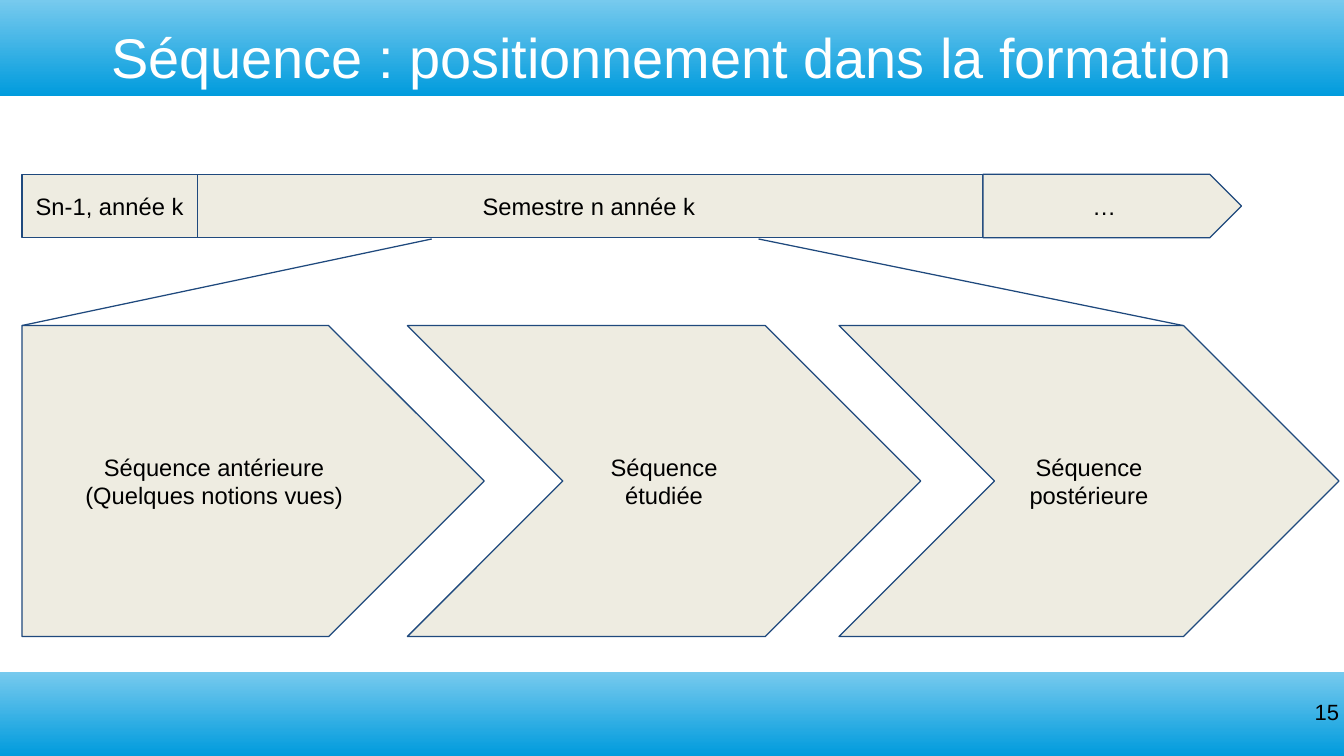
"""Build the slide that places a sequence within the training course."""
from lxml.etree import SubElement
from pptx import Presentation
from pptx.dml.color import RGBColor
from pptx.enum.shapes import MSO_CONNECTOR, MSO_SHAPE
from pptx.enum.text import MSO_ANCHOR, MSO_AUTO_SIZE, PP_ALIGN
from pptx.oxml.ns import qn
from pptx.util import Inches, Pt

SAND, NAVY, BLACK, WHITE = "EEECE1", "1F497D", "000000", "FFFFFF"
SKY, AZURE = "77CAEE", "009BDD"
WIDTH, HEIGHT = 11.02, 6.2
LEFT = 0.18
BAR_TOP, BAR_HEIGHT = 1.43, 0.52
STEP_TOP, STEP_HEIGHT = 2.67, 2.55


def color(value):
    return RGBColor.from_string(value)


def write(shape, text, size=14, fill=BLACK, align=PP_ALIGN.CENTER,
          anchor=MSO_ANCHOR.MIDDLE, inset=0.1):
    frame = shape.text_frame
    frame.word_wrap = True
    frame.auto_size = MSO_AUTO_SIZE.NONE
    frame.vertical_anchor = anchor
    frame.margin_left = frame.margin_right = Inches(inset)
    frame.margin_top = frame.margin_bottom = Inches(inset)
    frame.text = text
    for para in frame.paragraphs:
        para.alignment = align
        for span in para.runs:
            span.font.name = "Arial"
            span.font.size = Pt(size)
            span.font.color.rgb = color(fill)


deck = Presentation()
deck.slide_width, deck.slide_height = Inches(WIDTH), Inches(HEIGHT)
page = deck.slides.add_slide(deck.slide_layouts[5])

for top, height in [(0, 0.79), (5.51, 0.69)]:
    band = page.shapes.add_shape(
        MSO_SHAPE.RECTANGLE, 0, Inches(top), Inches(WIDTH), Inches(height))
    band.shadow.inherit = False
    band.line.fill.background()
    band.fill.gradient()
    band.fill.gradient_angle = 270
    for stop, shade in zip(band.fill.gradient_stops, [SKY, AZURE]):
        stop.color.rgb = color(shade)

title = page.shapes.title
title.left, title.top = Inches(0.39), Inches(0.2)
title.width, title.height = Inches(10.24), Inches(0.52)
write(title, "Séquence : positionnement dans la formation",
      size=33, fill=WHITE, inset=0)
page.shapes.element.append(title.element)

number = page.shapes.add_textbox(
    Inches(10.32), Inches(5.73), Inches(0.66), Inches(0.47))
write(number, "15", size=13, align=PP_ALIGN.RIGHT, anchor=MSO_ANCHOR.TOP, inset=0)

steps = [
    (MSO_SHAPE.PENTAGON, LEFT, 3.79, "Séquence antérieure\n(Quelques notions vues)"),
    (MSO_SHAPE.CHEVRON, 3.34, 4.21, "Séquence étudiée"),
    (MSO_SHAPE.CHEVRON, 6.88, 4.1, "Séquence postérieure"),
]
semesters = [
    (MSO_SHAPE.RECTANGLE, 1.6, 6.46, "Semestre n année k"),
    (MSO_SHAPE.RECTANGLE, LEFT, 1.44, "Sn-1, année k"),
    (MSO_SHAPE.PENTAGON, 8.06, 2.12, "…"),
]
for row, top, height in [(steps, STEP_TOP, STEP_HEIGHT),
                         (semesters, BAR_TOP, BAR_HEIGHT)]:
    for kind, left, width, text in row:
        box = page.shapes.add_shape(
            kind, Inches(left), Inches(top), Inches(width), Inches(height))
        box.shadow.inherit = False
        box.fill.solid()
        box.fill.fore_color.rgb = color(SAND)
        box.line.color.rgb = color(NAVY)
        box.line.width = Pt(0.75)
        write(box, text)

for start, end in [(LEFT, 3.54), (9.7, 6.22)]:
    zoom_line = page.shapes.add_connector(
        MSO_CONNECTOR.STRAIGHT, Inches(start), Inches(STEP_TOP),
        Inches(end), Inches(1.96))
    zoom_line.line.color.rgb = color(NAVY)
    zoom_line.line.width = Pt(0.75)
    SubElement(zoom_line.element.spPr, qn("a:effectLst"))

deck.save("out.pptx")
